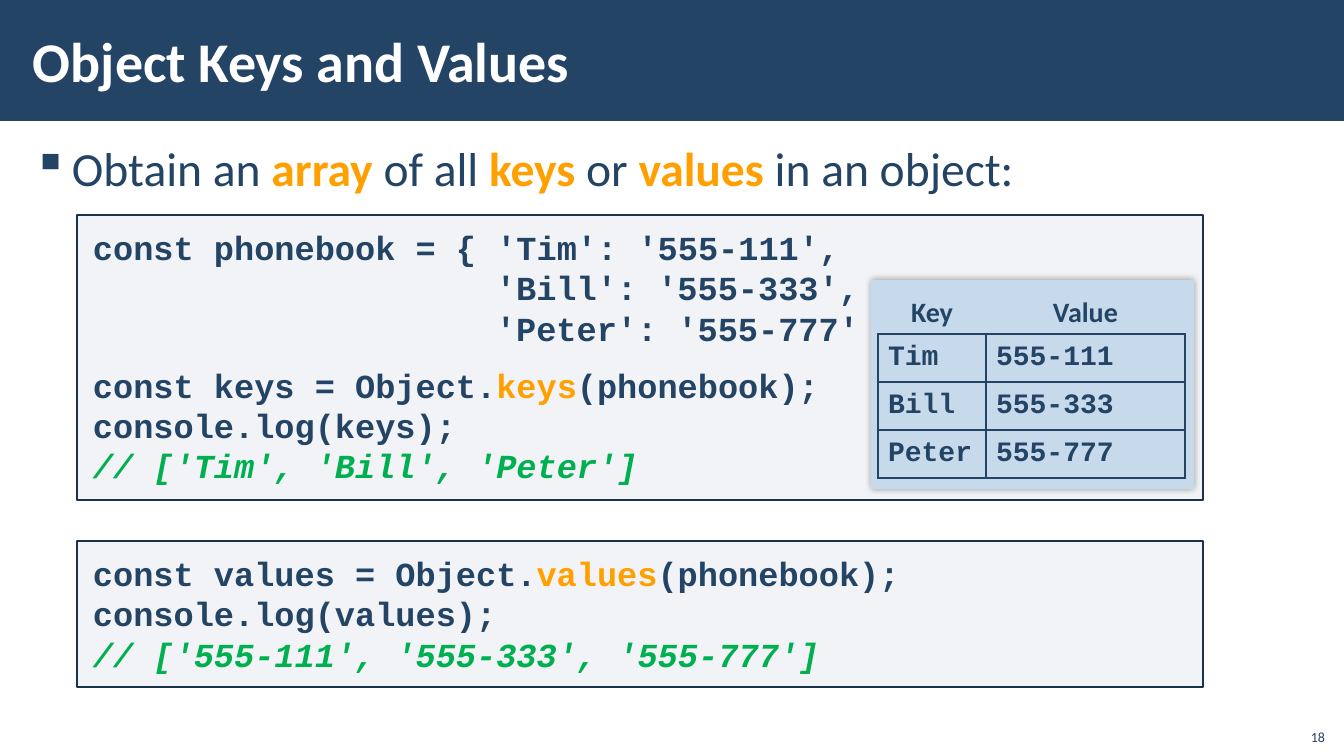
from dataclasses import dataclass

from lxml.etree import SubElement
from pptx import Presentation
from pptx.dml.color import RGBColor
from pptx.enum.shapes import MSO_SHAPE
from pptx.enum.text import MSO_ANCHOR, PP_ALIGN
from pptx.oxml.ns import qn
from pptx.shapes.autoshape import Shape
from pptx.slide import Slide
from pptx.table import _Cell
from pptx.text.text import TextFrame
from pptx.util import Emu, Pt

EMU_PER_PX = 914400 / 100.8


@dataclass(frozen=True)
class Theme:
    navy: str = "234465"
    white: str = "FFFFFF"
    orange: str = "FFA000"
    green: str = "00B050"
    code_fill: str = "ADB4C3"
    code_line: str = "1A334C"
    panel: str = "C7DAEC"
    shadow: str = "000000"
    sans: str = "Calibri"
    mono: str = "Courier New"
    title_size: int = 40
    body_size: int = 34
    code_size: int = 24
    table_size: int = 20
    number_size: int = 10


THEME = Theme()


@dataclass(frozen=True)
class Box:
    left: int
    top: int
    width: int
    height: int

    def emu(self) -> tuple[Emu, ...]:
        return tuple(map(px, (self.left, self.top, self.width, self.height)))


@dataclass(frozen=True)
class Span:
    text: str
    color: str = THEME.navy
    bold: bool = True
    italic: bool = False


@dataclass(frozen=True)
class Line:
    spans: tuple[Span, ...]
    before: int = 0
    after: int = 0
    indent: int = 0
    spacing: float = 1.0


@dataclass(frozen=True)
class CodeBlock:
    box: Box
    lines: tuple[Line, ...]


def px(length: float) -> Emu:
    return Emu(round(length * EMU_PER_PX))


def line(text: str, before: int = 0, indent: int = 0, **style) -> Line:
    return Line((Span(text, **style),), before, indent=indent)


def object_call(name: str, method: str) -> Line:
    return Line((Span(f"const {name} = Object."), Span(method, THEME.orange),
                 Span("(phonebook);")), before=12)


def comment(text: str) -> Line:
    return line(text, color=THEME.green, italic=True)


ENTRIES = (("Tim", "555-111"), ("Bill", "555-333"), ("Peter", "555-777"))
ENTRY_INDENT = 403  # twenty monospaced characters

KEYS_CODE = CodeBlock(Box(77, 215, 1126, 285), (
    line("const phonebook = { 'Tim': '555-111',"),
    line("'Bill': '555-333',", indent=ENTRY_INDENT),
    line("'Peter': '555-777' };", indent=ENTRY_INDENT),
    object_call("keys", "keys"),
    line("console.log(keys);"),
    comment("// ['Tim', 'Bill', 'Peter']"),
))
VALUES_CODE = CodeBlock(Box(77, 541, 1126, 146), (
    object_call("values", "values"),
    line("console.log(values);"),
    comment("// ['555-111', '555-333', '555-777']"),
))
INTRO = Line((
    Span("Obtain an ", bold=False), Span("array", THEME.orange),
    Span(" of all ", bold=False), Span("keys", THEME.orange),
    Span(" or ", bold=False), Span("values", THEME.orange),
    Span(" in an object:", bold=False),
), before=6, after=6, spacing=1.05)


def write(frame: TextFrame, lines: tuple[Line, ...], *, size: int,
          font: str = THEME.sans, align: PP_ALIGN = PP_ALIGN.LEFT,
          anchor: MSO_ANCHOR = MSO_ANCHOR.TOP,
          inset: tuple[int, int] = (10, 5)) -> None:
    frame.word_wrap = True
    frame.vertical_anchor = anchor
    frame.margin_left = frame.margin_right = px(inset[0])
    frame.margin_top = frame.margin_bottom = px(inset[1])
    for index, item in enumerate(lines):
        paragraph = frame.add_paragraph() if index else frame.paragraphs[0]
        paragraph.alignment = align
        paragraph.line_spacing = item.spacing
        paragraph.space_before, paragraph.space_after = Pt(item.before), Pt(item.after)
        if item.indent:
            paragraph._p.get_or_add_pPr().set("marL", str(px(item.indent)))
        for span in item.spans:
            run = paragraph.add_run()
            run.text = span.text
            run.font.name, run.font.size = font, Pt(size)
            run.font.bold, run.font.italic = span.bold, span.italic
            run.font.color.rgb = RGBColor.from_string(span.color)


def add_text(slide: Slide, box: Box, content: Line, **text_format) -> TextFrame:
    frame = slide.shapes.add_textbox(*box.emu()).text_frame
    write(frame, (content,), **text_format)
    return frame


def add_rectangle(slide: Slide, box: Box, fill: str) -> Shape:
    rectangle = slide.shapes.add_shape(MSO_SHAPE.RECTANGLE, *box.emu())
    rectangle.shadow.inherit = False
    rectangle.fill.solid()
    rectangle.fill.fore_color.rgb = RGBColor.from_string(fill)
    rectangle.line.fill.background()
    return rectangle


def add_title(slide: Slide) -> None:
    add_rectangle(slide, Box(0, 0, 1344, 121), THEME.navy)
    title = slide.shapes.title
    title.left, title.top, title.width, title.height = Box(21, 11, 1072, 98).emu()
    write(title.text_frame, (line("Object Keys and Values", color=THEME.white),),
          size=THEME.title_size, anchor=MSO_ANCHOR.MIDDLE, inset=(12, 4))
    title.element.getparent().append(title.element)  # bring above the band


def add_intro(slide: Slide) -> None:
    frame = add_text(slide, Box(21, 132, 1302, 80), INTRO,
                     size=THEME.body_size, inset=(12, 4))
    properties = frame.paragraphs[0]._p.get_or_add_pPr()
    properties.set("marL", str(px(39)))
    properties.set("indent", str(px(-39)))
    SubElement(properties, qn("a:buChar"), char="▪")


def add_code(slide: Slide, block: CodeBlock) -> None:
    shape = add_rectangle(slide, block.box, THEME.code_fill)
    fill_color = shape.element.spPr.find(f"{qn('a:solidFill')}/{qn('a:srgbClr')}")
    SubElement(fill_color, qn("a:alpha"), val="15000")
    shape.line.color.rgb = RGBColor.from_string(THEME.code_line)
    shape.line.width = Pt(1)
    write(shape.text_frame, block.lines, size=THEME.code_size,
          font=THEME.mono, inset=(16, 12))


def add_borders(cell: _Cell) -> None:
    properties = cell._tc.get_or_add_tcPr()
    for position, side in enumerate(("lnL", "lnR", "lnT", "lnB")):
        border = SubElement(properties, qn(f"a:{side}"), w=str(Pt(1)))
        solid = SubElement(border, qn("a:solidFill"))
        SubElement(solid, qn("a:srgbClr"), val=THEME.navy)
        properties.insert(position, border)  # borders precede the fill


def add_phonebook(slide: Slide) -> None:
    """Draw the shadowed panel with its headings and key-value table."""
    panel = add_rectangle(slide, Box(871, 280, 323, 209), THEME.panel)
    effects = panel.element.spPr.find(qn("a:effectLst"))
    shadow = SubElement(effects, qn("a:outerShdw"), blurRad=str(Pt(5)), dist="0", dir="0")
    color = SubElement(shadow, qn("a:srgbClr"), val=THEME.shadow)
    SubElement(color, qn("a:alpha"), val="40000")

    left, top, row_height, widths = 878, 334, 48, (108, 199)
    table = slide.shapes.add_table(
        len(ENTRIES), len(widths),
        *Box(left, top, sum(widths), row_height * len(ENTRIES)).emu()).table
    table.first_row = table.horz_banding = False
    for index, (heading, width) in enumerate(zip(("Key", "Value"), widths)):
        table.columns[index].width = px(width)
        add_text(slide, Box(left + sum(widths[:index]), 289, width, 44), line(heading),
                 size=THEME.table_size, align=PP_ALIGN.CENTER)
    for row, entry in enumerate(ENTRIES):
        table.rows[row].height = px(row_height)
        for column, text in enumerate(entry):
            cell = table.cell(row, column)
            write(cell.text_frame, (line(text),), size=THEME.table_size, font=THEME.mono)
            cell.vertical_anchor = MSO_ANCHOR.MIDDLE
            cell.fill.background()
            add_borders(cell)


def main() -> None:
    presentation = Presentation()
    presentation.slide_width, presentation.slide_height = px(1344), px(756)
    slide = presentation.slides.add_slide(presentation.slide_layouts[5])
    add_title(slide)
    add_intro(slide)
    for block in (KEYS_CODE, VALUES_CODE):
        add_code(slide, block)
    add_phonebook(slide)
    add_text(slide, Box(1295, 718, 40, 32), line("18", bold=False),
             size=THEME.number_size, align=PP_ALIGN.RIGHT, anchor=MSO_ANCHOR.BOTTOM)
    presentation.save("out.pptx")


if __name__ == "__main__":
    main()
